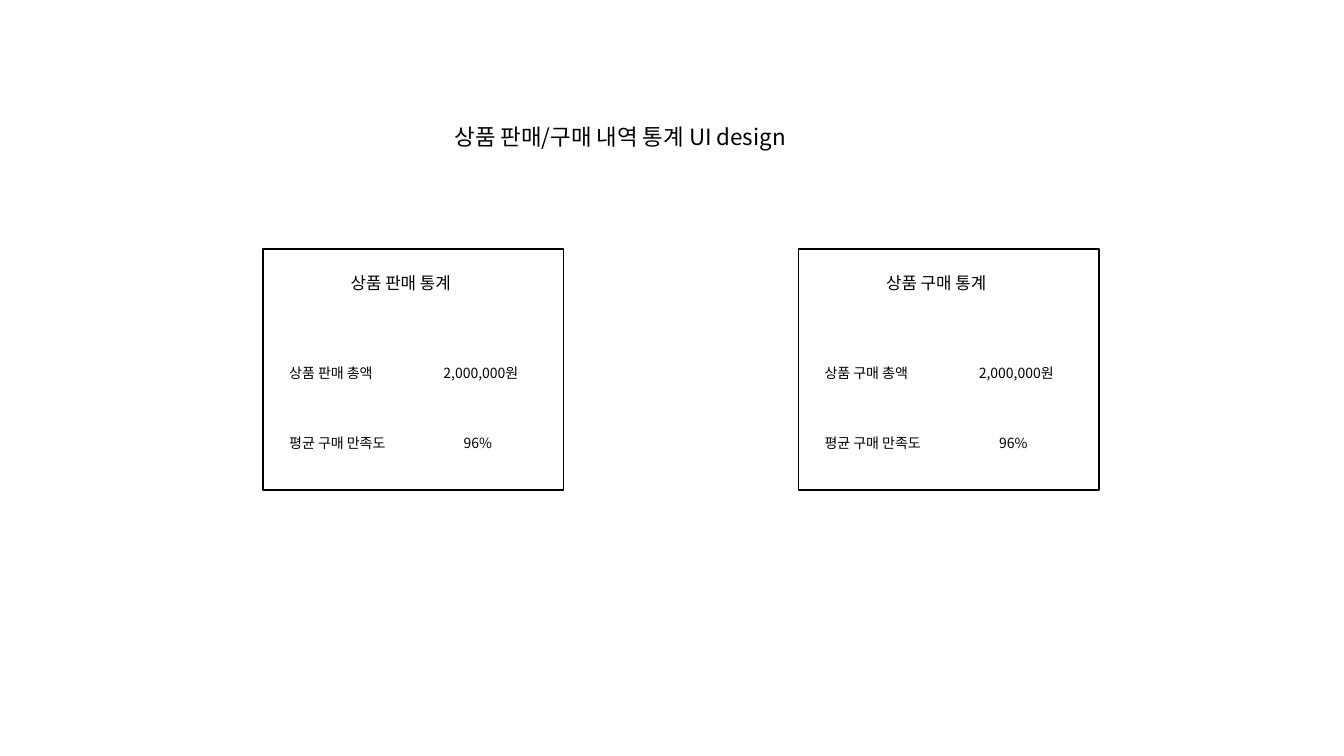
from lxml import etree
from pptx import Presentation
from pptx.dml.color import RGBColor
from pptx.enum.shapes import MSO_SHAPE
from pptx.enum.text import MSO_ANCHOR, MSO_AUTO_SIZE, PP_ALIGN
from pptx.oxml.ns import qn
from pptx.util import Inches, Pt

RECTANGLE = MSO_SHAPE.RECTANGLE
TOP = MSO_ANCHOR.TOP
FIT_SHAPE = MSO_AUTO_SIZE.SHAPE_TO_FIT_TEXT
LEFT = PP_ALIGN.LEFT
TITLE_ONLY = 5
FONT = "Noto Sans CJK KR"
BLACK = "000000"
WHITE = "FFFFFF"


def color(value):
    return RGBColor.from_string(value)


def place(shape, left, top, width, height):
    shape.left, shape.top = Inches(left), Inches(top)
    shape.width, shape.height = Inches(width), Inches(height)


def write(shape, text, size):
    tf = shape.text_frame
    tf.word_wrap = True
    tf.auto_size = FIT_SHAPE
    tf.vertical_anchor = TOP
    p = tf.paragraphs[0]
    p.alignment = LEFT
    r = p.add_run()
    r.text = text
    r.font.size = Pt(size)
    r.font.name = FONT
    r.font.color.rgb = color(BLACK)
    etree.SubElement(r.font._element, qn("a:ea"), typeface=FONT)
    return p


def add_text(shapes, text, size, left, top, width, height):
    box = shapes.add_textbox(Inches(left), Inches(top), Inches(width), Inches(height))
    return write(box, text, size)


def add_tab_stop(p, position):
    tabs = etree.SubElement(p._p.get_or_add_pPr(), qn("a:tabLst"))
    etree.SubElement(tabs, qn("a:tab"), pos=str(Inches(position)), algn="l")


def add_frame(shapes, left, top, width, height):
    frame = shapes.add_shape(
        RECTANGLE, Inches(left), Inches(top), Inches(width), Inches(height))
    frame.shadow.inherit = False
    frame.fill.solid()
    frame.fill.fore_color.rgb = color(WHITE)
    frame.line.color.rgb = color(BLACK)
    frame.line.width = Pt(1)


def add_card(s, left, heading, rows):
    shapes = s.shapes.add_group_shape().shapes
    add_frame(shapes, left, 2.47, 2.98, 2.39)
    add_text(shapes, heading, 12, left + 0.77, 2.66, 2.43, 0.3)
    for i, (label, value, value_offset) in enumerate(rows):
        p = add_text(shapes, f"{label}\t{value}", 10,
                     left + 0.16, 3.57 + i * 0.69, 2.75, 0.27)
        add_tab_stop(p, value_offset)


def main():
    prs = Presentation()
    prs.slide_width, prs.slide_height = Inches(13.33), Inches(7.5)
    s = prs.slides.add_slide(prs.slide_layouts[TITLE_ONLY])
    title = s.shapes.title
    place(title, 4.41, 1.17, 4.04, 0.37)
    write(title, "상품 판매/구매 내역 통계 UI design", 16)
    for left, kind in ((2.61, "판매"), (7.92, "구매")):
        add_card(s, left, f"상품 {kind} 통계", [
            (f"상품 {kind} 총액", "2,000,000원", 1.53),
            ("평균 구매 만족도", "96%", 1.73),
        ])
    prs.save("out.pptx")


if __name__ == "__main__":
    main()
